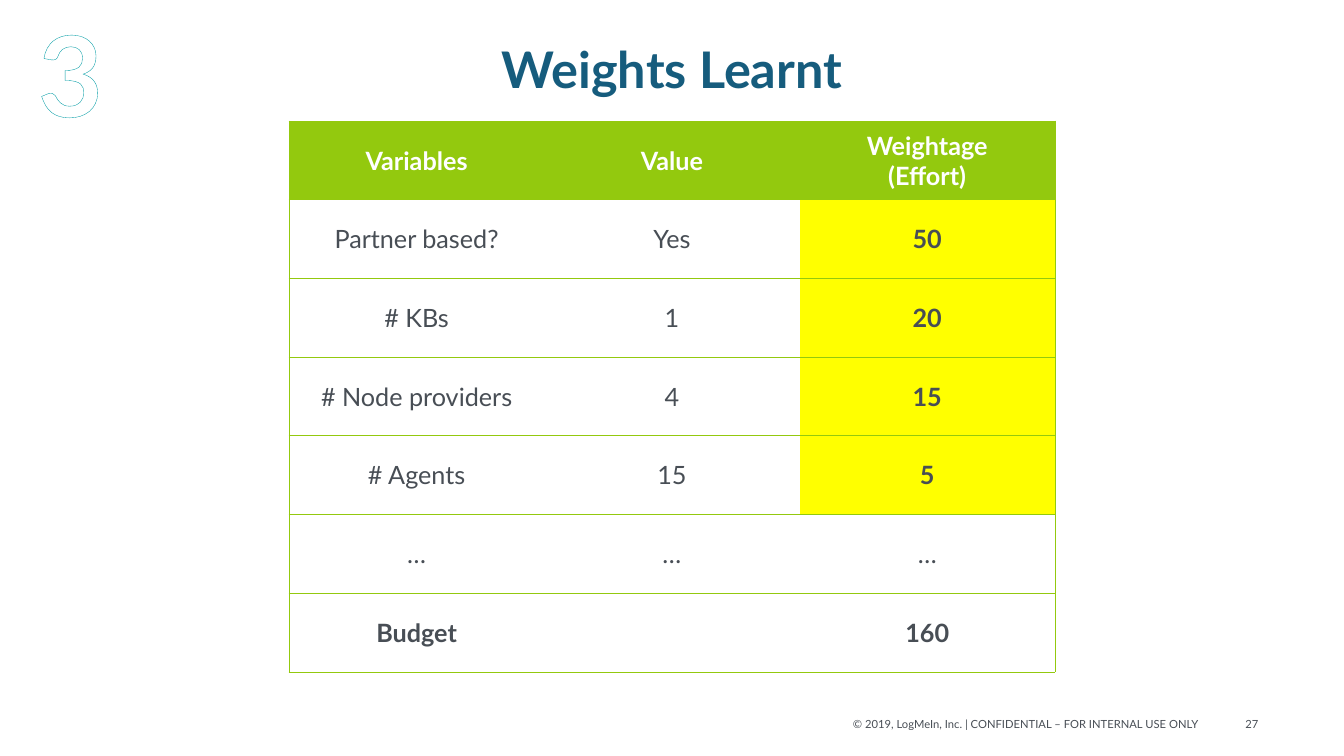
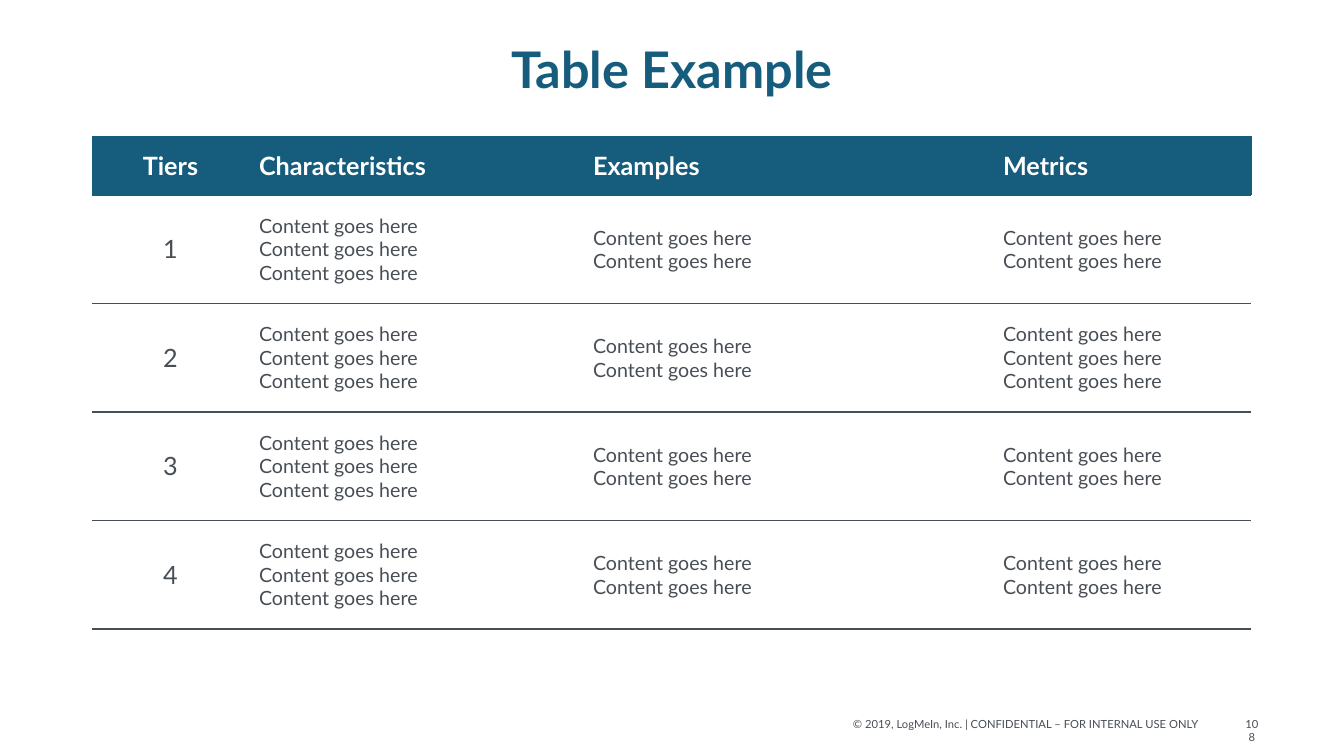
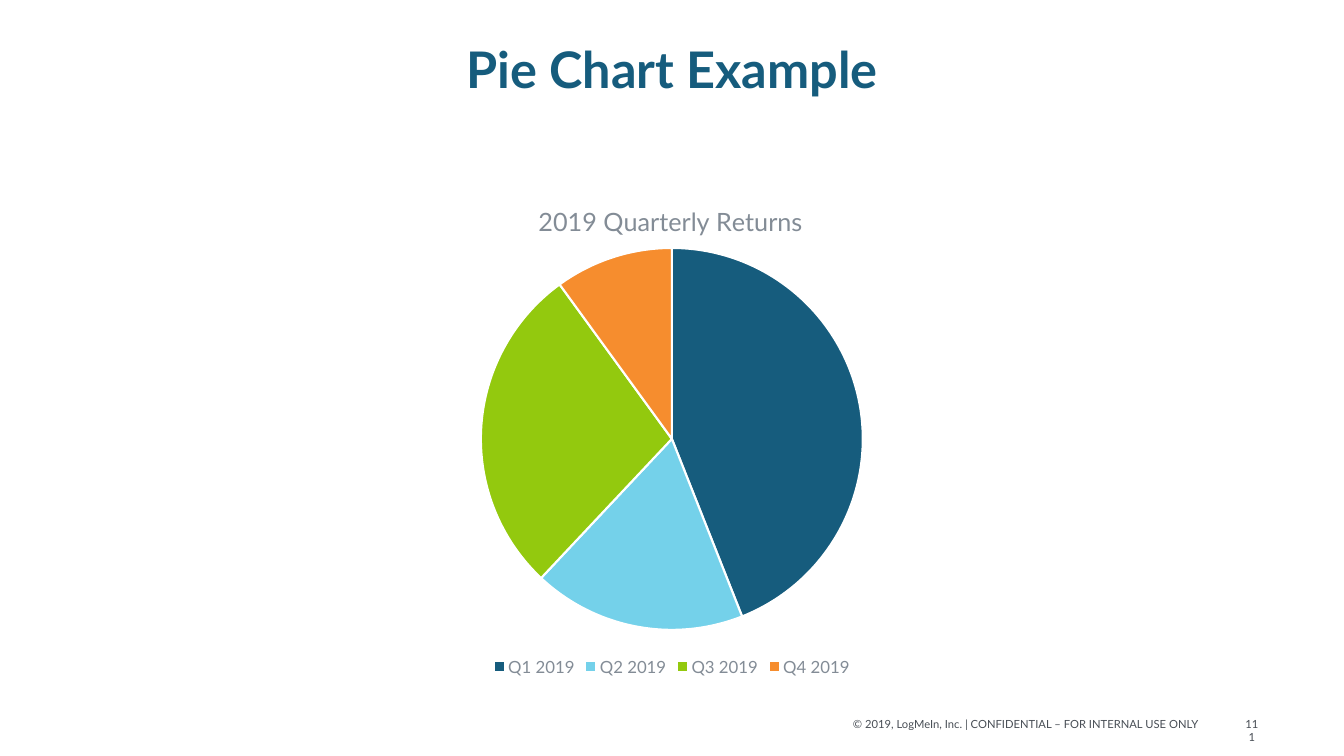
from dataclasses import dataclass

from lxml import etree
from pptx import Presentation
from pptx.chart.data import CategoryChartData
from pptx.dml.color import RGBColor
from pptx.enum.chart import XL_CHART_TYPE, XL_LEGEND_POSITION
from pptx.enum.dml import MSO_PATTERN
from pptx.enum.text import MSO_ANCHOR, MSO_AUTO_SIZE, PP_ALIGN
from pptx.oxml import parse_xml
from pptx.oxml.ns import nsdecls, qn
from pptx.util import Emu, Pt

LEFT, CENTER, RIGHT = PP_ALIGN.LEFT, PP_ALIGN.CENTER, PP_ALIGN.RIGHT
TOP, MIDDLE = MSO_ANCHOR.TOP, MSO_ANCHOR.MIDDLE
PIE, BOTTOM = XL_CHART_TYPE.PIE, XL_LEGEND_POSITION.BOTTOM
HATCH = MSO_PATTERN.LIGHT_DOWNWARD_DIAGONAL
NO_FIT = MSO_AUTO_SIZE.NONE
EMU_PER_PX = 914400 / 100.8
PLAIN_TABLE = "{2D5ABB26-0587-4C30-8999-92F81FD0307C}"


@dataclass(frozen=True)
class Theme:
    font: str = "Lato"
    navy: str = "165C7D"
    sky: str = "74D1EA"
    lime: str = "93C90E"
    orange: str = "F68D2E"
    ink: str = "484E55"
    gray: str = "838C96"
    teal: str = "009CA5"
    green: str = "00B050"
    yellow: str = "FFFF00"
    white: str = "FFFFFF"
    title: int = 36
    head: int = 18
    body: int = 14
    legend: int = 12
    small: int = 8
    numeral: int = 80


T = Theme()
TITLE_BOX = (92, 40, 1160, 130)
FOOTER_BOX = (832, 712, 377, 24)
NUMBER_BOX = (1235, 712, 34, 24)
FOOTER = "© 2019, LogMeIn, Inc. | CONFIDENTIAL – FOR INTERNAL USE ONLY"


def px(n):
    return Emu(round(n * EMU_PER_PX))


def place(box):
    return [px(n) for n in box]


def rgb(color):
    return RGBColor.from_string(color)


def style_font(font, size, color, bold=False):
    font.name = T.font
    font.size = Pt(size)
    font.bold = bold
    font.color.rgb = rgb(color)


def write(tf, text, size, color, bold=False, align=LEFT):
    tf.text = text
    for p in tf.paragraphs:
        p.alignment = align
        for r in p.runs:
            style_font(r.font, size, color, bold)


def add_label(s, box, text, size, color, bold=False, align=CENTER):
    sp = s.shapes.add_textbox(*place(box))
    sp.text_frame.word_wrap = True
    write(sp.text_frame, text, size, color, bold, align)
    return sp


def add_slide(prs, title, number):
    s = prs.slides.add_slide(prs.slide_layouts[5])
    sp = s.shapes.title
    sp.left, sp.top, sp.width, sp.height = place(TITLE_BOX)
    tf = sp.text_frame
    tf.auto_size = NO_FIT
    tf.vertical_anchor = TOP
    write(tf, title, T.title, T.navy, True, CENTER)
    tf.paragraphs[0].line_spacing = 0.9
    add_label(s, FOOTER_BOX, FOOTER, T.small, T.ink, align=RIGHT)
    add_label(s, NUMBER_BOX, number, T.small, T.ink)
    return s


def line_xml(tag, color, width):
    return parse_xml(
        f'<a:{tag} {nsdecls("a")} w="{Pt(width)}"><a:solidFill>'
        f'<a:srgbClr val="{color}"/></a:solidFill></a:{tag}>'
    )


def add_numeral(s, box, text):
    sp = add_label(s, box, text, T.numeral, T.white, True)
    fill = sp.text_frame.paragraphs[0].runs[0].font.fill
    fill.patterned()
    fill.pattern = HATCH
    fill.fore_color.rgb = rgb(T.green)
    fill.back_color.rgb = rgb(T.white)
    sp.element.xpath(".//a:rPr")[0].insert(0, line_xml("ln", T.teal, 1))


def add_grid(s, box, rows, cols):
    gf = s.shapes.add_table(rows, cols, *place(box))
    gf.element.xpath(".//a:tableStyleId")[0].text = PLAIN_TABLE
    return gf.table


def fill_cell(cell, text, size, color, bold, align, fill, sides, rule):
    cell.vertical_anchor = MIDDLE
    write(cell.text_frame, text, size, color, bold, align)
    tc_pr = cell._tc.get_or_add_tcPr()
    for side in sides:
        tc_pr.append(line_xml(f"ln{side}", *rule))
    if fill:
        cell.fill.solid()
        cell.fill.fore_color.rgb = rgb(fill)
    else:
        cell.fill.background()


def add_weights_table(s, box, rows):
    table = add_grid(s, box, len(rows), len(rows[0]))
    last = len(rows[0]) - 1
    for i, row in enumerate(rows):
        for j, text in enumerate(row):
            header = i == 0
            weight = j == last and 1 <= i <= 4
            total = i == len(rows) - 1
            fill = T.lime if header else T.yellow if weight else None
            sides = {0: "LTB", last: "RTB"}.get(j, "TB")
            fill_cell(table.cell(i, j), text, T.head, T.white if header else T.ink,
                      header or weight or total, CENTER, fill, sides, (T.lime, 0.5))


def add_tiers_table(s, box, header_height, widths, headings, line_counts):
    line = "Content goes here"
    rows = [headings] + [
        [str(n)] + ["\n".join([line] * count) for count in counts]
        for n, counts in enumerate(line_counts, 1)
    ]
    table = add_grid(s, box, len(rows), len(widths))
    for column, width in zip(table.columns, widths):
        column.width = px(width)
    body_height = (box[3] - header_height) / len(line_counts)
    for i, row in enumerate(rows):
        header = i == 0
        table.rows[i].height = px(header_height if header else body_height)
        for j, text in enumerate(row):
            fill_cell(table.cell(i, j), text,
                      T.head if header or j == 0 else T.body,
                      T.white if header else T.ink, header,
                      CENTER if j == 0 else LEFT, T.navy if header else None,
                      "LRTB" if header else "B",
                      (T.navy, 0.5) if header else (T.ink, 1))


def set_layout(parent, index, chart_box, **spot):
    for old in parent.findall(qn("c:layout")):
        parent.remove(old)
    left, top, width, height = chart_box
    fractions = {
        key: (value - start) / size
        for key, value, start, size in (
            ("x", spot["x"], left, width), ("y", spot["y"], top, height),
            ("w", spot.get("w"), 0, width), ("h", spot.get("h"), 0, height))
        if value is not None
    }
    layout = etree.Element(qn("c:layout"))
    manual = etree.SubElement(layout, qn("c:manualLayout"))
    if "w" in fractions:
        etree.SubElement(manual, qn("c:layoutTarget")).set("val", "inner")
    for key in "xy":
        etree.SubElement(manual, qn(f"c:{key}Mode")).set("val", "edge")
    for key, value in fractions.items():
        etree.SubElement(manual, qn(f"c:{key}")).set("val", f"{value:.4f}")
    parent.insert(index, layout)


def add_pie(s, box, title, slices):
    data = CategoryChartData()
    data.categories = [name for name, _, _ in slices]
    data.add_series("Series 1", [value for _, value, _ in slices])
    chart = s.shapes.add_chart(PIE, *place(box), data).chart
    style_font(chart.font, 10, T.ink)
    chart.has_title = True
    write(chart.chart_title.text_frame, title, T.head, T.gray, align=CENTER)
    chart.has_legend = True
    chart.legend.position = BOTTOM
    chart.legend.include_in_layout = False
    style_font(chart.legend.font, T.legend, T.gray)
    plot = chart.plots[0]
    plot.vary_by_categories = True
    for i, (_, _, color) in enumerate(slices):
        fmt = plot.series[0].points[i].format
        fmt.fill.solid()
        fmt.fill.fore_color.rgb = rgb(color)
        fmt.line.color.rgb = rgb(T.white)
        fmt.line.width = Pt(1.5)
    left, top = box[:2]
    root = chart.element
    set_layout(root.xpath(".//c:chart/c:title")[0], 1, box, x=left + 442, y=top + 23)
    set_layout(root.xpath(".//c:plotArea")[0], 0, box,
               x=left + 389, y=top + 72, w=382, h=382)


def main():
    prs = Presentation()
    prs.slide_width, prs.slide_height = px(1344), px(756)

    s = add_slide(prs, "Weights Learnt", "27")
    add_weights_table(s, (289, 121, 766, 551), [
        ("Variables", "Value", "Weightage\n(Effort)"),
        ("Partner based?", "Yes", "50"),
        ("# KBs", "1", "20"),
        ("# Node providers", "4", "15"),
        ("# Agents", "15", "5"),
        ("…", "…", "…"),
        ("Budget", "", "160"),
    ])
    add_numeral(s, (28, 0, 84, 146), "3")

    s = add_slide(prs, "Table Example", "108")
    add_tiers_table(s, (92, 136, 1159, 493), 59, (157, 334, 410, 258),
                    ["Tiers", "Characteristics", "Examples", "Metrics"],
                    [(3, 2, 2), (3, 2, 3), (3, 2, 2), (3, 2, 2)])

    s = add_slide(prs, "Pie Chart Example", "111")
    add_pie(s, (92, 176, 1160, 505), "2019 Quarterly Returns", [
        ("Q1 2019", 44, T.navy),
        ("Q2 2019", 18, T.sky),
        ("Q3 2019", 28, T.lime),
        ("Q4 2019", 10, T.orange),
    ])

    prs.save("out.pptx")


if __name__ == "__main__":
    main()
